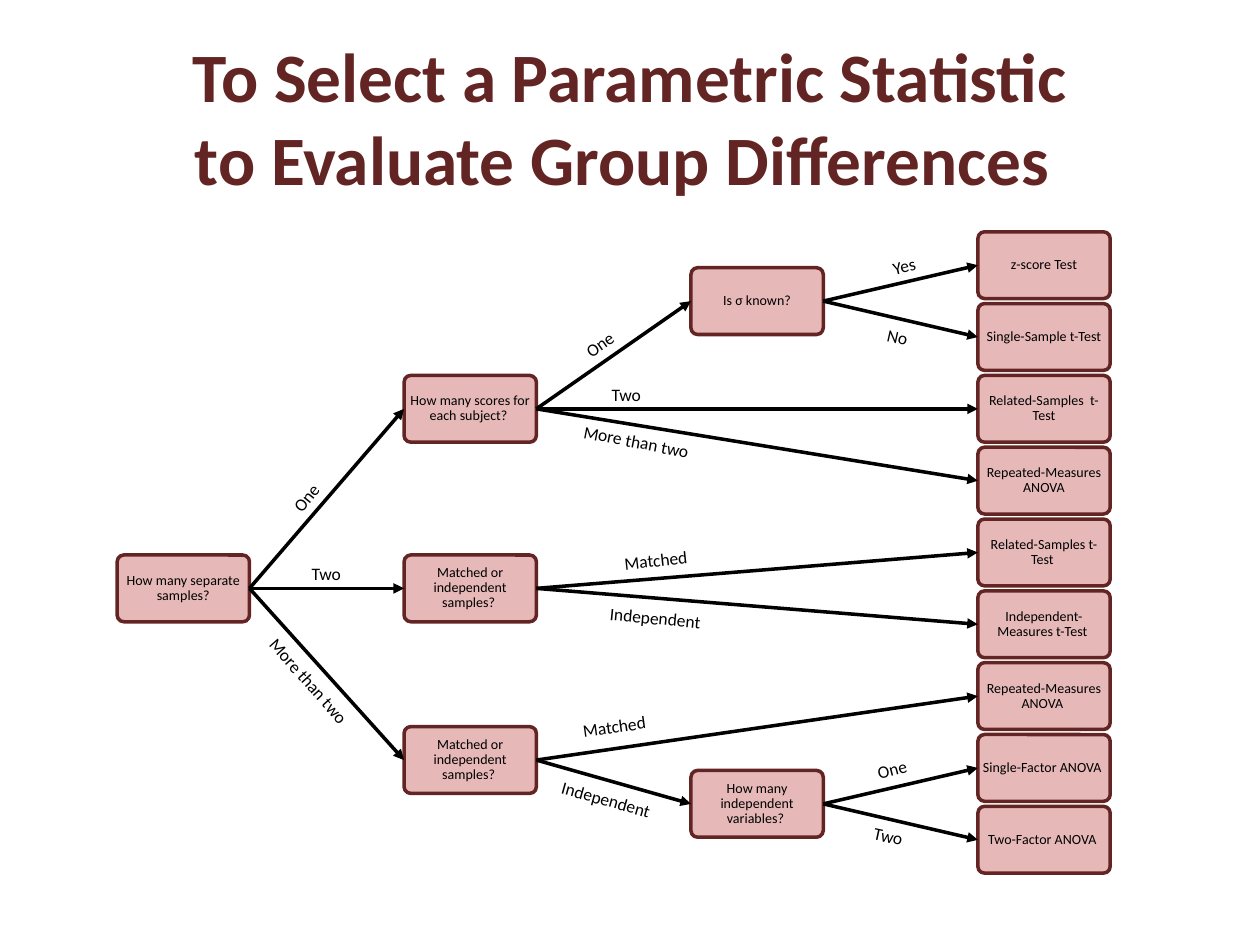
from dataclasses import dataclass

from lxml.etree import SubElement
from pptx import Presentation
from pptx.dml.color import RGBColor
from pptx.enum.shapes import MSO_CONNECTOR, MSO_SHAPE
from pptx.enum.text import MSO_ANCHOR, PP_ALIGN
from pptx.oxml.ns import qn
from pptx.shapes.autoshape import Shape
from pptx.shapes.connector import Connector
from pptx.text.text import TextFrame
from pptx.util import Inches, Pt


@dataclass(frozen=True)
class Theme:
    font: str = "Calibri"
    maroon: RGBColor = RGBColor(0x63, 0x25, 0x23)
    pink: RGBColor = RGBColor(0xE6, 0xB9, 0xB8)
    black: RGBColor = RGBColor(0, 0, 0)
    title_size: float = 39.6
    label_size: float = 10
    node_size: float = 8
    line_width: float = 2


@dataclass(frozen=True)
class Grid:
    left: float = 0.93
    top: float = 1.84
    column_step: float = 2.277
    row_step: float = 0.57
    node_width: float = 1.05
    node_height: float = 0.53


@dataclass(frozen=True)
class Node:
    key: str
    column: int
    row: float
    text: str


@dataclass(frozen=True)
class Branch:
    source: str
    target: str
    label: str = ""
    left: float = 0
    top: float = 0
    turn: float = 0


THEME = Theme()
GRID = Grid()
LABEL_HEIGHT = 0.27
LABEL_WIDTHS = {"One": 0.44, "Two": 0.44, "More than two": 1.06, "Yes": 0.39,
                "No": 0.37, "Matched": 0.71, "Independent": 0.94}

# Questions
QUESTIONS = [
    Node("samples", 0, 4.5, "How many separate samples?"),
    Node("scores", 1, 2, "How many scores for each subject? "),
    Node("two samples", 1, 4.5, "Matched or independent samples? "),
    Node("more samples", 1, 6.89, "Matched or independent samples? "),
    Node("sigma", 2, 0.5, "Is σ known?"),
    Node("variables", 2, 7.5, "How many independent variables? "),
]

# Tests, one per row of the last column
TESTS = [
    ("z", "z-score Test"),
    ("single t", "Single-Sample t-Test"),
    ("related scores", "Related-Samples  t-Test"),
    ("repeated scores", "Repeated-Measures ANOVA"),
    ("related t", "Related-Samples t-Test "),
    ("independent t", "Independent-Measures t-Test "),
    ("repeated", "Repeated-Measures ANOVA "),
    ("single factor", "Single-Factor ANOVA "),
    ("two factor", "Two-Factor ANOVA "),
]
NODES = QUESTIONS + [Node(key, 3, row, text) for row, (key, text) in enumerate(TESTS)]

BRANCHES = [
    Branch("samples", "scores", "One", 2.21, 3.82, 308.7),
    Branch("samples", "two samples", "Two", 2.37, 4.42),
    Branch("samples", "more samples", "More than two", 1.92, 5.27, 48.3),
    Branch("scores", "sigma", "One", 4.54, 2.6, 325.1),
    Branch("scores", "related scores", "Two", 4.75, 3),
    Branch("scores", "repeated scores", "More than two", 4.52, 3.37, 10.9),
    Branch("sigma", "z", "Yes", 6.98, 1.98, 346.1),
    Branch("sigma", "single t", "No", 6.94, 2.54, 12.7),
    Branch("two samples", "related t", "Matched", 4.85, 4.31, 353.8),
    Branch("two samples", "independent t", "Independent", 4.73, 4.77, 5.4),
    Branch("more samples", "repeated", "Matched", 4.52, 5.63, 352.1),
    Branch("more samples", "variables", "Independent", 4.34, 6.21, 15.7),
    Branch("variables", "single factor", "One", 6.86, 5.97, 345.5),
    Branch("variables", "two factor", "Two", 6.83, 6.5, 12.3),
]


def write(frame: TextFrame, text: str, *, size: float, color: RGBColor = THEME.black,
          bold: bool = False, wrap: bool = True, spacing: float = 1.0,
          anchor: MSO_ANCHOR = MSO_ANCHOR.MIDDLE) -> None:
    frame.word_wrap = wrap
    frame.vertical_anchor = anchor
    para = frame.paragraphs[0]
    para.alignment = PP_ALIGN.CENTER
    para.line_spacing = spacing
    for index, line in enumerate(text.split("\n")):
        if index:
            para.add_line_break()
        span = para.add_run()
        span.text = line
        span.font.name = THEME.font
        span.font.size = Pt(size)
        span.font.bold = bold
        span.font.color.rgb = color


def draw_node(node: Node) -> Shape:
    box = page.shapes.add_shape(
        MSO_SHAPE.ROUNDED_RECTANGLE,
        Inches(GRID.left + node.column * GRID.column_step),
        Inches(GRID.top + node.row * GRID.row_step),
        Inches(GRID.node_width), Inches(GRID.node_height))
    box.adjustments[0] = 0.1
    box.shadow.inherit = False
    box.fill.solid()
    box.fill.fore_color.rgb = THEME.pink
    box.line.color.rgb = THEME.maroon
    box.line.width = Pt(THEME.line_width)
    frame = box.text_frame
    frame.margin_left = frame.margin_right = Inches(0.01)
    frame.margin_top = frame.margin_bottom = Inches(0.01)
    write(frame, node.text, size=THEME.node_size, spacing=0.9)
    return box


def draw_arrow(source: Shape, target: Shape) -> Connector:
    arrow = page.shapes.add_connector(MSO_CONNECTOR.STRAIGHT, 0, 0, 0, 0)
    arrow.begin_connect(source, 3)
    arrow.end_connect(target, 1)
    arrow.line.color.rgb = THEME.black
    arrow.line.width = Pt(THEME.line_width)
    SubElement(arrow.line._get_or_add_ln(), qn("a:tailEnd"), type="triangle")
    SubElement(arrow._element.spPr, qn("a:effectLst"))
    return arrow


def draw_label(branch: Branch) -> None:
    box = page.shapes.add_textbox(
        Inches(branch.left), Inches(branch.top),
        Inches(LABEL_WIDTHS[branch.label]), Inches(LABEL_HEIGHT))
    box.rotation = branch.turn
    write(box.text_frame, branch.label, size=THEME.label_size, wrap=False,
          anchor=MSO_ANCHOR.TOP)


deck = Presentation()
deck.slide_width, deck.slide_height = Inches(10), Inches(7.5)
page = deck.slides.add_slide(deck.slide_layouts[6])

# Title
title = page.shapes.add_textbox(Inches(0.5), Inches(0.3), Inches(9), Inches(1.25))
write(title.text_frame, "To Select a Parametric Statistic\nto Evaluate Group Differences ",
      size=THEME.title_size, color=THEME.maroon, bold=True)

# Decision tree
boxes = {node.key: draw_node(node) for node in NODES}
for branch in BRANCHES:
    draw_arrow(boxes[branch.source], boxes[branch.target])
    draw_label(branch)

deck.save("out.pptx")
